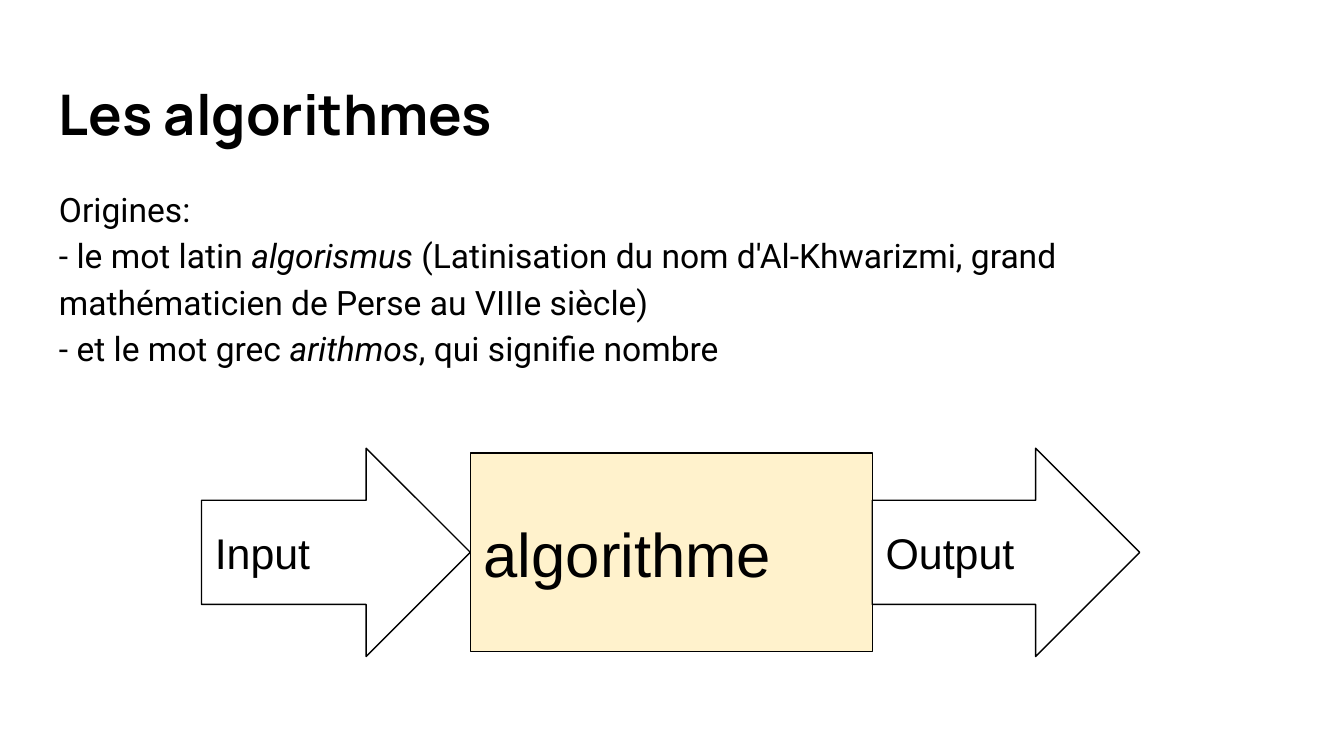
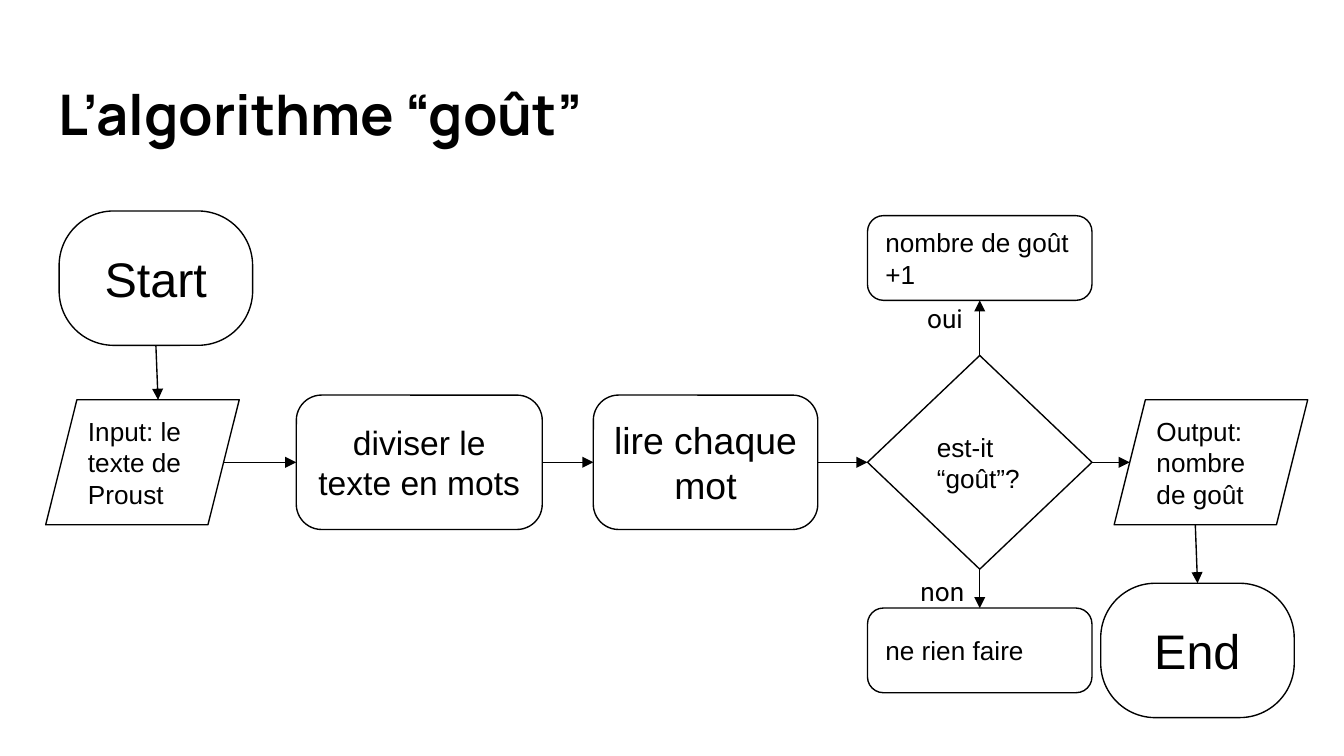
from lxml import etree
from pptx import Presentation
from pptx.dml.color import RGBColor
from pptx.enum.shapes import MSO_CONNECTOR, MSO_SHAPE
from pptx.enum.text import MSO_ANCHOR, PP_ALIGN
from pptx.oxml.ns import qn
from pptx.util import Inches, Pt

ARROW, RECT = MSO_SHAPE.RIGHT_ARROW, MSO_SHAPE.RECTANGLE
ROUND, SLANTED = MSO_SHAPE.ROUNDED_RECTANGLE, MSO_SHAPE.PARALLELOGRAM
DIAMOND = MSO_SHAPE.DIAMOND
LEFT, CENTER = PP_ALIGN.LEFT, PP_ALIGN.CENTER
TOP, MIDDLE = MSO_ANCHOR.TOP, MSO_ANCHOR.MIDDLE
SIDES = {"top": 0, "left": 1, "bottom": 2, "right": 3}

COLORS = {"ink": "000000", "paper": "FFFFFF", "cream": "FFF2CC"}
TITLE_FONT, BODY_FONT, SHAPE_FONT = "Manrope", "Roboto", "Arial"
WIDTH, HEIGHT = 10, 5.625
MARGIN = 0.34
CONTENT_W = WIDTH - 2 * MARGIN
INSET = 0.1

# Slide 1: (text, italic) runs, then the chain of touching shapes
ORIGINS = [
    ("Origines:\n- le mot latin ", False),
    ("algorismus", True),
    (" (Latinisation du nom d'Al-Khwarizmi, grand mathématicien de Perse"
     " au VIIIe siècle)\n- et le mot grec ", False),
    ("arithmos", True),
    (", qui signifie nombre", False),
]
CHAIN_LEFT, CHAIN_MID = 1.5, 4.11
CHAIN = [  # text, shape, width, height, font size, fill
    ("Input", ARROW, 2, 1.55, 23, "paper"),
    ("algorithme", RECT, 2.99, 1.48, 33, "cream"),
    ("Output", ARROW, 1.99, 1.55, 23, "paper"),
]

# Slide 2: kinds of step, steps by centre, links between their sides
SLANT = 0.25
KINDS = {  # shape, adjustment, width, height, font size, alignment
    "terminal": (ROUND, 0.406, 1.44, 1, 26, CENTER),
    "data": (SLANTED, SLANT, 1.44, 0.93, 14, LEFT),
    "split": (ROUND, 0.188, 1.83, 1, 18, CENTER),
    "read": (ROUND, 0.188, 1.67, 1, 20, CENTER),
    "test": (DIAMOND, None, 1.67, 1.59, 14, LEFT),
    "result": (ROUND, 0.188, 1.67, 0.63, 14, LEFT),
}
FLOW_MID, TEST_X = 3.44, 7.29
STEPS = {  # text, kind, centre x, centre y
    "start": ("Start", "terminal", 1.16, 2.07),
    "end": ("End", "terminal", 8.91, 4.84),
    "input": ("Input: le texte de Proust", "data", 1.06, FLOW_MID),
    "output": ("Output: nombre de goût", "data", 9.01, FLOW_MID),
    "split": ("diviser le texte en mots", "split", 3.12, FLOW_MID),
    "read": ("lire chaque mot", "read", 5.25, FLOW_MID),
    "test": ("est-it “goût”?", "test", TEST_X, FLOW_MID),
    "count": ("nombre de goût +1", "result", TEST_X, 1.92),
    "skip": ("ne rien faire", "result", TEST_X, 4.84),
}
LINKS = [
    ("start", "bottom", "input", "top"),
    ("input", "right", "split", "left"),
    ("split", "right", "read", "left"),
    ("read", "right", "test", "left"),
    ("test", "top", "count", "bottom"),
    ("test", "bottom", "skip", "top"),
    ("test", "right", "output", "left"),
    ("output", "bottom", "end", "top"),
]
ANSWERS = [("oui", 6.8, 2.15, 0.48), ("non", 6.75, 4.18, 0.53)]
ANSWER_H = 0.4


def color(name):
    return RGBColor.from_string(COLORS[name])


def write(shape, text, size, font=SHAPE_FONT, bold=False, align=LEFT,
          anchor=TOP, spacing=None):
    """Fill a shape with a string or a list of (text, italic) runs."""
    tf = shape.text_frame
    tf.word_wrap = True
    tf.vertical_anchor = anchor
    tf.margin_left = tf.margin_right = Inches(INSET)
    tf.margin_top = tf.margin_bottom = Inches(INSET)
    p = tf.paragraphs[0]
    p.alignment = align
    if spacing:
        p.line_spacing = spacing
    for part, italic in [(text, False)] if isinstance(text, str) else text:
        for i, line in enumerate(part.split("\n")):
            if i:
                p.add_line_break()
            r = p.add_run()
            r.text = line
            r.font.name, r.font.size = font, Pt(size)
            r.font.bold, r.font.italic = bold, italic
            r.font.color.rgb = color("ink")


def add_text(s, text, x, y, w, h, size, **fmt):
    write(s.shapes.add_textbox(*map(Inches, (x, y, w, h))), text, size, **fmt)


def add_box(s, text, shape, cx, cy, w, h, size, fill="paper", adj=None,
            align=LEFT):
    """Add an outlined shape around its centre."""
    sp = s.shapes.add_shape(
        shape, *map(Inches, (cx - w / 2, cy - h / 2, w, h)))
    sp.shadow.inherit = False
    if adj is not None:
        sp.adjustments[0] = adj
    sp.fill.solid()
    sp.fill.fore_color.rgb = color(fill)
    sp.line.color.rgb = color("ink")
    sp.line.width = Pt(0.75)
    write(sp, text, size, align=align, anchor=MIDDLE)
    return sp


def side_point(name, side):
    """Return the middle of a step's side, shifted where the shape slants."""
    _, kind, x, y = STEPS[name]
    _, _, w, h, _, _ = KINDS[kind]
    dx, dy = {"top": (0, -h / 2), "left": (-w / 2, 0),
              "bottom": (0, h / 2), "right": (w / 2, 0)}[side]
    if kind == "data":
        dx += SLANT * h / 2 * (1 if side in ("top", "left") else -1)
    return Inches(x + dx), Inches(y + dy)


def add_link(s, boxes, start, start_side, end, end_side):
    c = s.shapes.add_connector(MSO_CONNECTOR.STRAIGHT,
                               *side_point(start, start_side),
                               *side_point(end, end_side))
    if STEPS[start][1] != "data":
        c.begin_connect(boxes[start], SIDES[start_side])
    if STEPS[end][1] != "data":
        c.end_connect(boxes[end], SIDES[end_side])
    c.line.color.rgb = color("ink")
    c.line.width = Pt(0.75)
    etree.SubElement(c.line._get_or_add_ln(), qn("a:tailEnd"), type="triangle")
    etree.SubElement(c._element.spPr, qn("a:effectLst"))


def add_slide(prs, title):
    s = prs.slides.add_slide(prs.slide_layouts[6])
    s.background.fill.solid()
    s.background.fill.fore_color.rgb = color("paper")
    add_text(s, title, MARGIN, 0.49, CONTENT_W, 0.68, 30,
             font=TITLE_FONT, bold=True)
    return s


def build_origins(prs):
    s = add_slide(prs, "Les algorithmes")
    add_text(s, ORIGINS, MARGIN, 1.26, CONTENT_W, 3.74, 18,
             font=BODY_FONT, spacing=1.15)
    x = CHAIN_LEFT
    for text, shape, w, h, size, fill in CHAIN:
        add_box(s, text, shape, x + w / 2, CHAIN_MID, w, h, size, fill=fill)
        x += w


def build_flowchart(prs):
    s = add_slide(prs, "L’algorithme “goût”")
    boxes = {}
    for name, (text, kind, x, y) in STEPS.items():
        shape, adj, w, h, size, align = KINDS[kind]
        boxes[name] = add_box(s, text, shape, x, y, w, h, size,
                              adj=adj, align=align)
    for link in LINKS:
        add_link(s, boxes, *link)
    for text, x, y, w in ANSWERS:
        add_text(s, text, x, y, w, ANSWER_H, 14, font=BODY_FONT)


def main():
    prs = Presentation()
    prs.slide_width, prs.slide_height = Inches(WIDTH), Inches(HEIGHT)
    build_origins(prs)
    build_flowchart(prs)
    prs.save("out.pptx")


if __name__ == "__main__":
    main()
